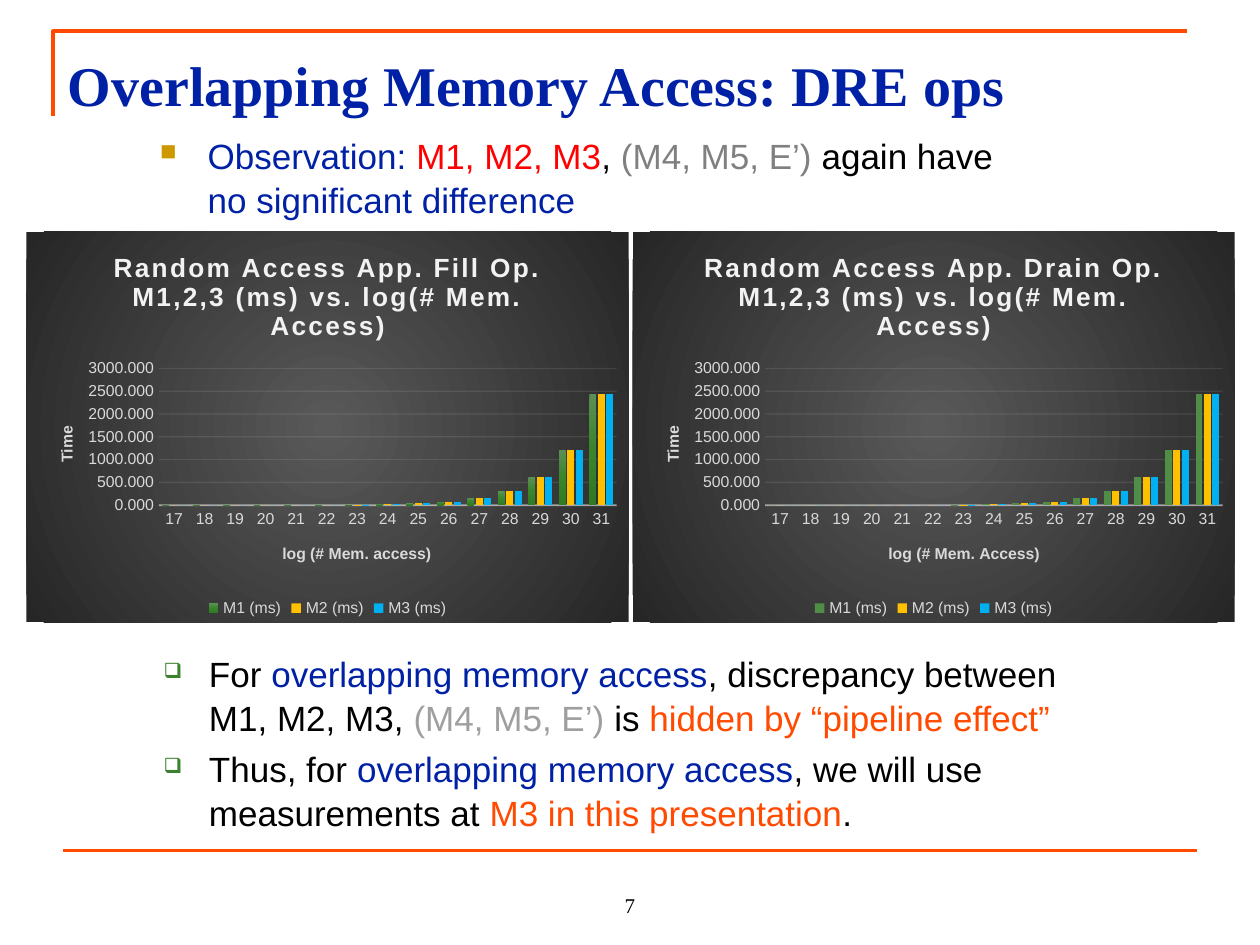
from lxml import etree
from pptx import Presentation
from pptx.chart.data import CategoryChartData
from pptx.dml.color import RGBColor
from pptx.enum.chart import XL_CHART_TYPE, XL_LEGEND_POSITION, XL_TICK_MARK
from pptx.enum.shapes import MSO_CONNECTOR
from pptx.enum.text import MSO_ANCHOR, PP_ALIGN
from pptx.oxml import parse_xml
from pptx.oxml.ns import nsdecls, qn
from pptx.util import Inches, Pt

CLUSTERED = XL_CHART_TYPE.COLUMN_CLUSTERED
LEGEND_BOTTOM = XL_LEGEND_POSITION.BOTTOM
NO_TICK = XL_TICK_MARK.NONE
STRAIGHT = MSO_CONNECTOR.STRAIGHT
TOP, BOTTOM = MSO_ANCHOR.TOP, MSO_ANCHOR.BOTTOM
LEFT, CENTER = PP_ALIGN.LEFT, PP_ALIGN.CENTER

COLUMNS, ROWS = 100, 75
CELL = Inches(0.1)
BLACK, BLUE, ORANGE, RED = "000000", "0021A5", "FF4A00", "FF0000"
GRAY, PALE_GRAY, LABEL, WHITE = "808080", "9F9F9F", "D9D9D9", "F2F2F2"
BREAK = ("\n", BLACK)

TIMES_M1 = [0] * 6 + [10, 20, 40, 80, 150, 300, 610, 1220, 2440]
TIMES = {
    "M1 (ms)": TIMES_M1,
    "M2 (ms)": TIMES_M1,
    "M3 (ms)": TIMES_M1[:-1] + [2430],
}
BACKDROP = {0: "595959", 100: "262626"}
CENTERED_PATH = '<a:path path="circle"><a:fillToRect l="50000" t="50000" r="50000" b="50000"/></a:path>'
GREEN_SHADES = {0: "5B9055", 50: "38852B", 100: "2F7A22"}
DOWNWARD = '<a:lin ang="5400000" scaled="0"/>'


def grid(*cells):
    return [round(cell * CELL) for cell in cells]


def color(hex_value):
    return RGBColor.from_string(hex_value)


def apply(target, values):
    for name, value in values.items():
        setattr(target, name, value)


def style_font(font, hex_value, size, name="Arial", bold=False):
    apply(font, {"size": Pt(size), "name": name, "bold": bold})
    font.color.rgb = color(hex_value)


def style_line(line, hex_value, width):
    line.color.rgb = color(hex_value)
    line.width = Pt(width)


def add_bullet(para, char, hex_value, percent, margin, hanging):
    props = para._p.get_or_add_pPr()
    props.set("marL", str(Inches(margin)))
    props.set("indent", str(-Inches(hanging)))
    tint = etree.SubElement(props, qn("a:buClr"))
    etree.SubElement(tint, qn("a:srgbClr"), val=hex_value)
    etree.SubElement(props, qn("a:buSzPct"), val=str(percent * 1000))
    etree.SubElement(props, qn("a:buChar"), char=char)


def add_text(page, place, paragraphs, size, font="Arial", bold=False,
             align=LEFT, anchor=TOP, bullet=None):
    """Each paragraph is a list of (text, colour) spans."""
    frame = page.shapes.add_textbox(*grid(*place)).text_frame
    apply(frame, {"word_wrap": True, "vertical_anchor": anchor})
    for index, spans in enumerate(paragraphs):
        para = frame.add_paragraph() if index else frame.paragraphs[0]
        para.alignment = align
        if bullet:
            apply(para, {"space_before": Pt(size * 0.2), "line_spacing": 1.05})
            add_bullet(para, *bullet)
        for text, hex_value in spans:
            if text == "\n":
                para.add_line_break()
                continue
            span = para.add_run()
            span.text = text
            style_font(span.font, hex_value, size, font, bold)


def add_frame_corner(page):
    builder = page.shapes.build_freeform(*grid(4.2, 9.2))
    builder.add_line_segments([grid(4.2, 2.5), grid(94.2, 2.5)], close=False)
    corner = builder.convert_to_shape()
    corner.shadow.inherit = False
    corner.fill.background()
    style_line(corner.line, ORANGE, 2.25)


def add_rule(page, left, right, row):
    rule = page.shapes.add_connector(STRAIGHT, *grid(left, row, right, row))
    style_line(rule.line, ORANGE, 2.25)
    etree.SubElement(rule.element.spPr, qn("a:effectLst"))


def gradient(stops, direction):
    marks = "".join(
        f'<a:gs pos="{share * 1000}"><a:srgbClr val="{tint}"/></a:gs>'
        for share, tint in stops.items())
    return parse_xml(f'<a:gradFill {nsdecls("a")} rotWithShape="1">'
                     f'<a:gsLst>{marks}</a:gsLst>{direction}</a:gradFill>')


def set_alpha(chart, path, percent):
    for tint in chart.element.xpath(f".//{path}//a:srgbClr"):
        etree.SubElement(tint, qn("a:alpha"), val=str(percent * 1000))


def set_layout(parent, position, **shares):
    """Place a chart part at shares of the chart's size."""
    for old in parent.findall(qn("c:layout")):
        parent.remove(old)
    layout = etree.Element(qn("c:layout"))
    manual = etree.SubElement(layout, qn("c:manualLayout"))
    for name, value in shares.items():
        etree.SubElement(manual, qn("c:" + name), val=str(value))
    parent.insert(position, layout)


def set_title(owner, text, hex_value, size):
    frame = owner.text_frame
    frame.text = text
    span = frame.paragraphs[0].runs[0]
    style_font(span.font, hex_value, size, bold=True)
    return span


def style_axis(axis, title, x, y):
    apply(axis, {"major_tick_mark": NO_TICK, "minor_tick_mark": NO_TICK})
    style_font(axis.tick_labels.font, LABEL, 9)
    set_title(axis.axis_title, title, LABEL, 9)
    set_layout(axis.axis_title.element, 1, xMode="edge", yMode="edge", x=x, y=y)


def add_time_chart(page, left, operation, axis_title, green):
    data = CategoryChartData()
    data.categories = [str(power) for power in range(17, 32)]
    for name, values in TIMES.items():
        data.add_series(name, values)
    chart = page.shapes.add_chart(CLUSTERED, *grid(left, 18.4, 47.8, 31), data).chart
    style_font(chart.font, BLACK, 10)

    chart.has_title = True
    heading = f"Random Access App. {operation} Op. M1,2,3 (ms) vs. log(# Mem. Access)"
    span = set_title(chart.chart_title, heading, WHITE, 15)
    span.font._element.set("spc", "130")
    chart.chart_title.include_in_layout = False

    style_axis(chart.category_axis, axis_title, 0.42, 0.79)
    style_line(chart.category_axis.format.line, WHITE, 1)
    value_axis = chart.value_axis
    style_axis(value_axis, "Time", 0.045, 0.49)
    apply(value_axis, {"minimum_scale": 0, "maximum_scale": 3000, "major_unit": 500})
    apply(value_axis.tick_labels, {"number_format": "0.000", "number_format_is_linked": False})
    value_axis.format.line.fill.background()
    style_line(value_axis.major_gridlines.format.line, WHITE, 0.75)
    set_alpha(chart, "c:majorGridlines", 10)
    set_alpha(chart, "c:catAx/c:spPr", 54)

    chart.has_legend = True
    apply(chart.legend, {"position": LEGEND_BOTTOM, "include_in_layout": False})
    style_font(chart.legend.font, LABEL, 9)

    plot = chart.plots[0]
    apply(plot, {"gap_width": 100, "overlap": -24, "vary_by_categories": False})
    for series, tint in zip(plot.series, ("508D47", "FFC000", "00B0F0")):
        series.format.fill.solid()
        series.format.fill.fore_color.rgb = color(tint)
    if green:
        solid = chart.element.xpath(".//c:ser[1]/c:spPr/a:solidFill")[0]
        solid.getparent().replace(solid, gradient(green, DOWNWARD))

    set_layout(chart.element.xpath(".//c:plotArea")[0], 0, layoutTarget="inner",
               xMode="edge", yMode="edge", x=0.22, y=0.35, w=0.76, h=0.35)
    area = parse_xml(f'<c:spPr {nsdecls("c", "a")}><a:ln><a:noFill/></a:ln></c:spPr>')
    area.insert(0, gradient(BACKDROP, CENTERED_PATH))
    chart.element.find(qn("c:chart")).addnext(area)


def main():
    deck = Presentation()
    apply(deck, {"slide_width": COLUMNS * CELL, "slide_height": ROWS * CELL})
    page = deck.slides.add_slide(deck.slide_layouts[6])

    add_frame_corner(page)
    add_rule(page, 5, 95, 67.5)
    add_text(page, (40, 68.3, 20, 5), [[("7", BLACK)]], 12,
             "Times New Roman", align=CENTER, anchor=BOTTOM)
    add_text(page, (4.4, 3.5, 97.2 - 4.4, 8.2),
             [[("Overlapping Memory Access: DRE ops", BLUE)]], 32,
             "Times New Roman", bold=True)
    add_text(page, (11.7, 10, 76.2, 9), [[
        ("Observation: ", BLUE), ("M1, M2, M3", RED), (", ", BLACK),
        ("(M4, M5, E’)", GRAY), (" again have ", BLACK), BREAK,
        ("no significant difference", BLUE),
    ]], 20, bullet=("■", "CC9900", 65, 0.38, 0.38))

    add_time_chart(page, 2.1, "Fill", "log (# Mem. access)", GREEN_SHADES)
    add_time_chart(page, 50.2, "Drain", "log (# Mem. Access)", None)

    add_text(page, (8.3, 51.1, 81.1, 15.9), [
        [("For ", BLACK), ("overlapping memory access", BLUE),
         (", discrepancy between M1, M2, M3, ", BLACK), ("(M4, M5, E’) ", PALE_GRAY),
         ("is ", BLACK), ("hidden by “pipeline effect”", ORANGE)],
        [("Thus, for ", BLACK), ("overlapping memory access", BLUE),
         (", we will use measurements at ", BLACK),
         ("M3 in this presentation", ORANGE), (".", BLACK)],
    ], 20, bullet=("❑", "3B812F", 60, 0.73, 0.36))
    deck.save("out.pptx")


if __name__ == "__main__":
    main()
